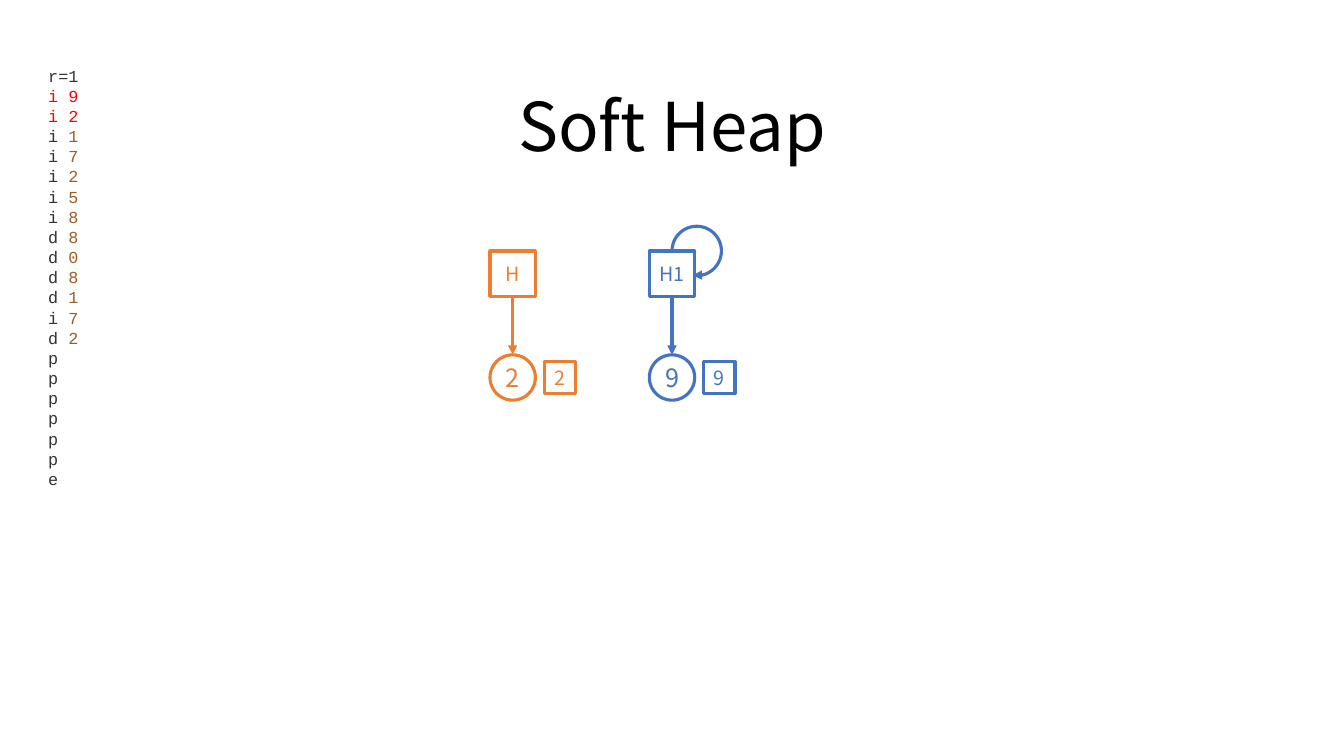
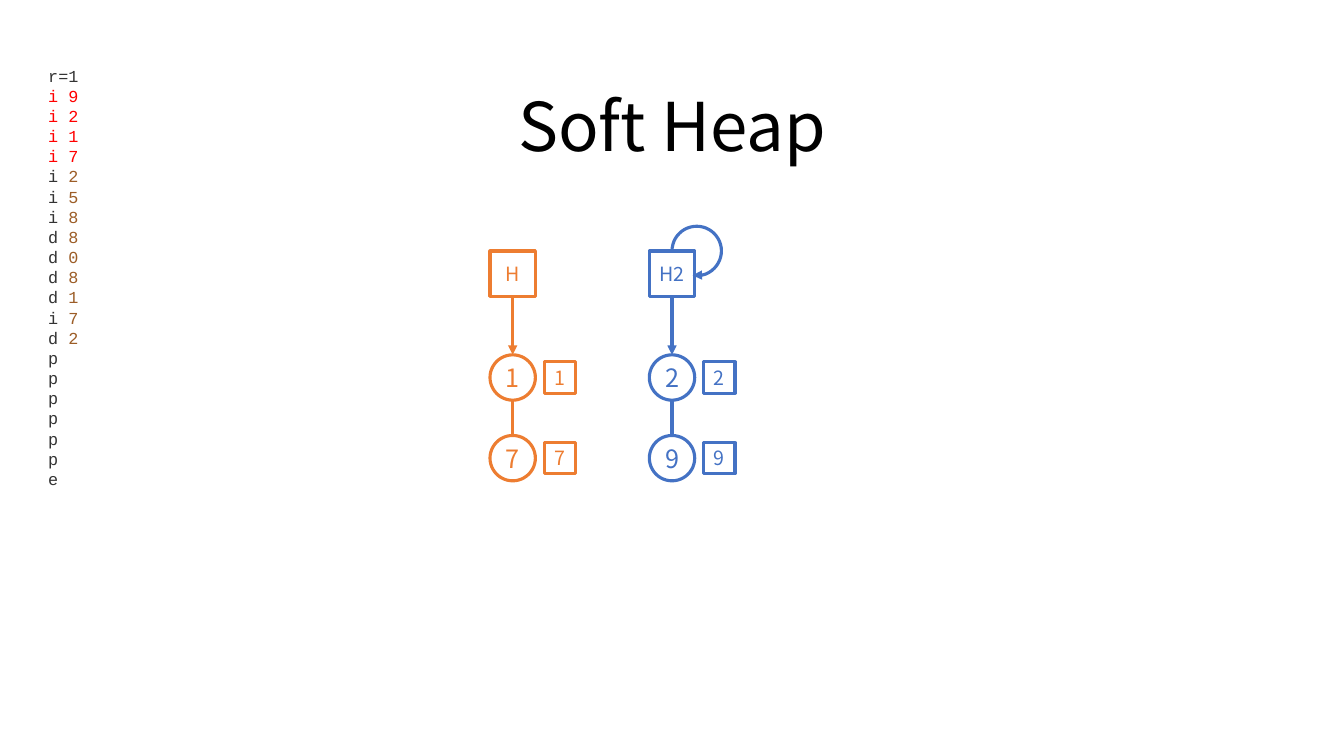
from lxml import etree
from pptx import Presentation
from pptx.dml.color import RGBColor
from pptx.enum.shapes import MSO_CONNECTOR, MSO_SHAPE
from pptx.enum.text import MSO_ANCHOR, MSO_AUTO_SIZE, PP_ALIGN
from pptx.oxml.ns import qn
from pptx.util import Inches, Pt

RECT, OVAL, ARC = MSO_SHAPE.RECTANGLE, MSO_SHAPE.OVAL, MSO_SHAPE.ARC
STRAIGHT = MSO_CONNECTOR.STRAIGHT
CENTER = PP_ALIGN.CENTER
MIDDLE, BOTTOM = MSO_ANCHOR.MIDDLE, MSO_ANCHOR.BOTTOM
NO_FIT, GROW = MSO_AUTO_SIZE.NONE, MSO_AUTO_SIZE.SHAPE_TO_FIT_TEXT
TITLE_ONLY = 5

# Shared style
SANS, MONO = "Noto Sans CJK SC", "Courier New"
BLACK, INK, NUMBER, DONE = "000000", "333333", "9C5D27", "FF0000"
ORANGE, BLUE = "ED7D31", "4472C4"
LINE_WIDTH = Pt(2.25)

# Heap grid, in inches
ORANGE_LEFT, BLUE_LEFT = 4.86, 6.44
HEAD_TOP, TREE_TOP, LEVEL_STEP = 2.49, 3.52, 0.8
NODE, TAG, TAG_OFFSET = 0.45, 0.31, 0.54
LOOP = 0.49

COMMANDS = ["r=1", "i 9", "i 2", "i 1", "i 7", "i 2", "i 5", "i 8", "d 8", "d 0",
            "d 8", "d 1", "i 7", "d 2"] + ["p"] * 6 + ["e"]


def rgb(color):
    return RGBColor.from_string(color)


def style_font(font, name, size, color):
    for attribute, value in {"name": name, "size": Pt(size)}.items():
        setattr(font, attribute, value)
    font.color.rgb = rgb(color)


def style_line(shape, color, arrow=False):
    shape.line.color.rgb = rgb(color)
    shape.line.width = LINE_WIDTH
    if arrow:
        outline = shape.element.xpath(".//a:ln")[0]
        etree.SubElement(outline, qn("a:tailEnd"), type="triangle")


def add_outline(slide, kind, left, top, size, color, arrow=False):
    shape = slide.shapes.add_shape(
        kind, Inches(left), Inches(top), Inches(size), Inches(size))
    shape.shadow.inherit = False
    shape.fill.background()
    style_line(shape, color, arrow)
    return shape


def add_label(slide, kind, left, top, size, text, points, color):
    frame = add_outline(slide, kind, left, top, size, color).text_frame
    settings = {"margin_left": 0, "margin_right": 0, "margin_top": 0,
                "margin_bottom": 0, "vertical_anchor": MIDDLE, "word_wrap": False}
    for attribute, value in settings.items():
        setattr(frame, attribute, value)
    paragraph = frame.paragraphs[0]
    paragraph.alignment = CENTER
    run = paragraph.add_run()
    run.text = text
    style_font(run.font, SANS, points, color)


def add_link(slide, x, top, bottom, color, arrow=False):
    link = slide.shapes.add_connector(
        STRAIGHT, Inches(x), Inches(top), Inches(x), Inches(bottom))
    style_line(link, color, arrow)
    etree.SubElement(link.element.spPr, qn("a:effectLst"))


def add_title(slide, text):
    title = slide.shapes.title
    place = {"left": 3.68, "top": 0.71, "width": 5.97, "height": 0.99}
    for attribute, value in place.items():
        setattr(title, attribute, Inches(value))
    frame = title.text_frame
    frame.text = text
    frame.auto_size = NO_FIT
    frame.vertical_anchor = BOTTOM
    paragraph = frame.paragraphs[0]
    paragraph.alignment = CENTER
    paragraph.line_spacing = 0.9
    style_font(paragraph.runs[0].font, SANS, 48, BLACK)


def add_commands(slide, done):
    """List the commands, with the inserts carried out so far in red."""
    box = slide.shapes.add_textbox(Inches(0.38), Inches(0.6), Inches(1.21), Inches(4.34))
    frame = box.text_frame
    frame.word_wrap = True
    frame.auto_size = GROW
    for index, command in enumerate(COMMANDS):
        paragraph = frame.paragraphs[0] if index == 0 else frame.add_paragraph()
        if 1 <= index <= done:
            parts = [(command, DONE)]
        elif " " in command:
            parts = [(command[:2], INK), (command[2:], NUMBER)]
        else:
            parts = [(command, INK)]
        for text, color in parts:
            run = paragraph.add_run()
            run.text = text
            style_font(run.font, MONO, 12, color)


def add_heap(slide, left, color, head, keys, loop=False):
    """Draw a head box above a chain of nodes, each with its tag."""
    center = left + NODE / 2
    add_label(slide, RECT, left, HEAD_TOP, NODE, head, 14, color)
    add_link(slide, center, HEAD_TOP + NODE, TREE_TOP, color, arrow=True)
    for level, key in enumerate(keys):
        top = TREE_TOP + level * LEVEL_STEP
        if level:
            add_link(slide, center, top - LEVEL_STEP + NODE, top, color)
        add_label(slide, OVAL, left, top, NODE, key, 18, color)
        add_label(slide, RECT, left + TAG_OFFSET, top + (NODE - TAG) / 2,
                  TAG, key, 14, color)
    if loop:
        arc = add_outline(slide, ARC, center, HEAD_TOP - LOOP / 2, LOOP, color, arrow=True)
        arc.adjustments[0], arc.adjustments[1] = 107.31, 59.67


def main():
    deck = Presentation()
    deck.slide_width, deck.slide_height = Inches(13.33), Inches(7.5)

    # Finished inserts, orange keys, blue head, blue keys
    steps = [(2, "2", "H1", "9"), (4, "17", "H2", "29")]
    for done, orange_keys, blue_head, blue_keys in steps:
        slide = deck.slides.add_slide(deck.slide_layouts[TITLE_ONLY])
        add_title(slide, "Soft Heap")
        add_commands(slide, done)
        add_heap(slide, ORANGE_LEFT, ORANGE, "H", orange_keys)
        add_heap(slide, BLUE_LEFT, BLUE, blue_head, blue_keys, loop=True)

    deck.save("out.pptx")


if __name__ == "__main__":
    main()
